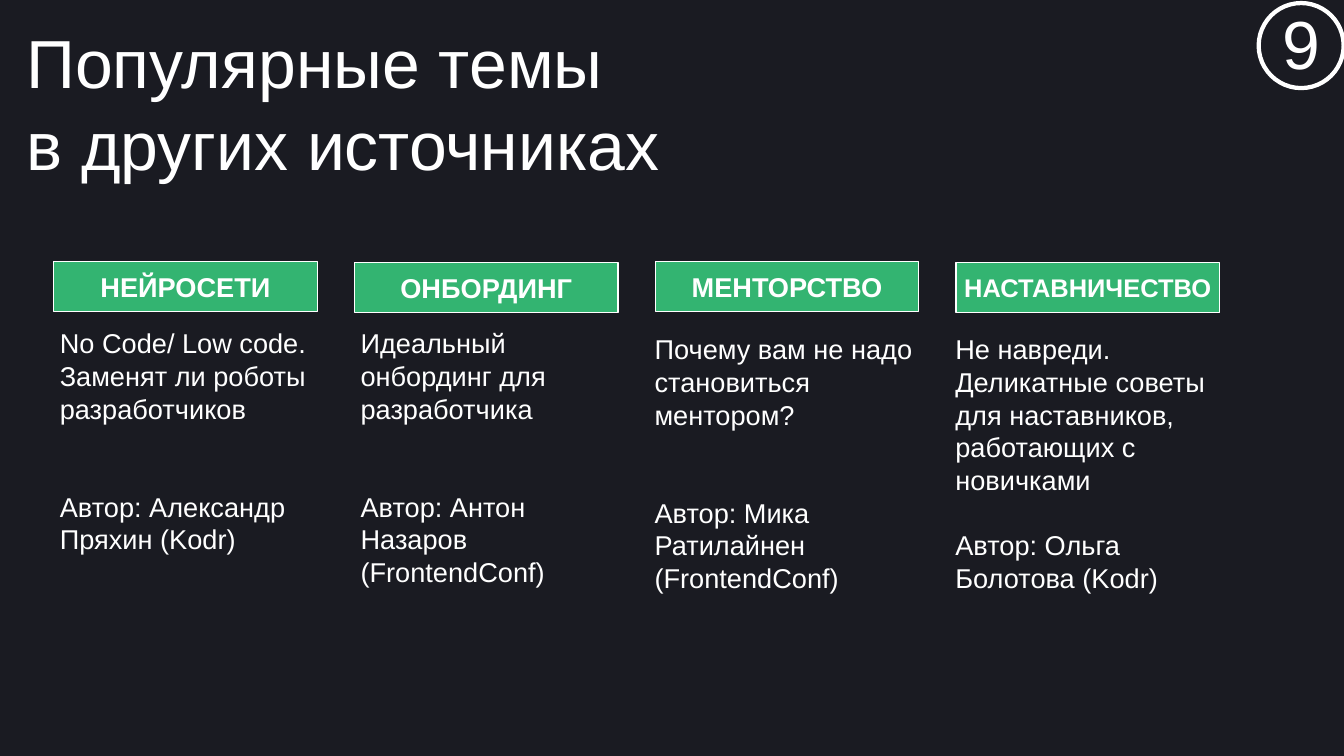
from pptx import Presentation
from pptx.dml.color import RGBColor
from pptx.enum import shapes, text
from pptx.util import Inches, Pt

NIGHT = RGBColor(0x1A, 0x1B, 0x22)
GREEN = RGBColor(0x33, 0xB4, 0x71)
WHITE = RGBColor(0xFF, 0xFF, 0xFF)

BODY_LINE = 38.5  # points from one body line to the next

# heading, heading size, topic paragraphs, author, empty lines before author,
# text box: left and top offset from the heading, extra width, height
COLUMNS = [
    ("НЕЙРОСЕТИ", 32, ["No Code/ Low code.", "Заменят ли роботы разработчиков"],
     "Автор: Александр Пряхин (Kodr)", 2, (0, 0.97, 0, 3.97)),
    ("ОНБОРДИНГ", 32, ["Идеальный онбординг для разработчика"],
     "Автор: Антон Назаров (FrontendConf)", 2, (0, 0.95, 0, 4.51)),
    ("МЕНТОРСТВО", 32, ["Почему вам не надо становиться ментором?"],
     "Автор: Мика Ратилайнен (FrontendConf)", 2, (-0.11, 1.07, 0.23, 4.51)),
    ("НАСТАВНИЧЕСТВО", 30,
     ["Не навреди. Деликатные советы для наставников, работающих с новичками"],
     "Автор: Ольга Болотова (Kodr)", 1, (-0.11, 1.05, 0.23, 4.51)),
]


def write(shape, lines, size, inset=0.0, anchor=text.MSO_ANCHOR.TOP,
          align=text.PP_ALIGN.LEFT, spacing=1.0, bold=False):
    """Fill a shape with paragraphs of one format and return them."""
    frame = shape.text_frame
    frame_format = {"word_wrap": True, "vertical_anchor": anchor}
    for side in ("left", "top", "right", "bottom"):
        frame_format[f"margin_{side}"] = Inches(inset)
    for name, value in frame_format.items():
        setattr(frame, name, value)

    frame.text = "\n".join(lines)
    font_format = {"name": "Arial", "size": Pt(size), "bold": bold}
    for paragraph in frame.paragraphs:
        paragraph.alignment = align
        paragraph.line_spacing = spacing
        for name, value in font_format.items():
            setattr(paragraph.font, name, value)
        paragraph.font.color.rgb = WHITE
    return frame.paragraphs


def add_outlined(slide, kind, box, width):
    outlined = slide.shapes.add_shape(kind, *map(Inches, box))
    outlined.shadow.inherit = False
    outlined.line.color.rgb = WHITE
    outlined.line.width = Pt(width)
    return outlined


def add_title(slide, box):
    title = slide.shapes.add_textbox(*map(Inches, box))
    write(title, ["Популярные темы", "в других источниках"], 80)


def add_column(slide, box, column):
    heading, heading_size, topic, author, gap_lines, story_box = column
    left, top, width, height = box
    shift, drop, extra_width, story_height = story_box

    # Topic and author
    story = slide.shapes.add_textbox(
        Inches(left + shift), Inches(top + drop),
        Inches(width + extra_width), Inches(story_height))
    paragraphs = write(story, [*topic, author], 32, inset=0.1)
    paragraphs[-1].space_before = Pt(gap_lines * BODY_LINE)

    # Green heading
    banner = add_outlined(slide, shapes.MSO_SHAPE.RECTANGLE, box, 1.5)
    banner.fill.solid()
    banner.fill.fore_color.rgb = GREEN
    write(banner, [heading], heading_size, inset=0.1, bold=True,
          anchor=text.MSO_ANCHOR.MIDDLE, align=text.PP_ALIGN.CENTER)


def add_page_badge(slide, box):
    left, top, width, height = box
    number = slide.shapes.add_textbox(
        Inches(left - 0.01), Inches(top + 0.06),
        Inches(width + 0.02), Inches(height - 0.06))
    write(number, ["9"], 80, spacing=0.9,
          anchor=text.MSO_ANCHOR.MIDDLE, align=text.PP_ALIGN.CENTER)
    ring = add_outlined(slide, shapes.MSO_SHAPE.OVAL, box, 5)
    ring.fill.background()


def main():
    deck = Presentation()
    # 21.99 by 12.36 inches, in whole points
    deck.slide_width, deck.slide_height = Pt(1583), Pt(890)
    slide = deck.slides.add_slide(deck.slide_layouts[6])
    slide.background.fill.solid()
    slide.background.fill.fore_color.rgb = NIGHT

    add_title(slide, (0.43, 0.34, 11.13, 3.83))
    for index, column in enumerate(COLUMNS):
        # Every second heading sits slightly lower
        top = 4.27 + 0.02 * (index % 2)
        add_column(slide, (0.88 + 4.92 * index, top, 4.31, 0.82), column)
    add_page_badge(slide, (20.59, 0.05, 1.39, 1.39))

    deck.save("out.pptx")


if __name__ == "__main__":
    main()
